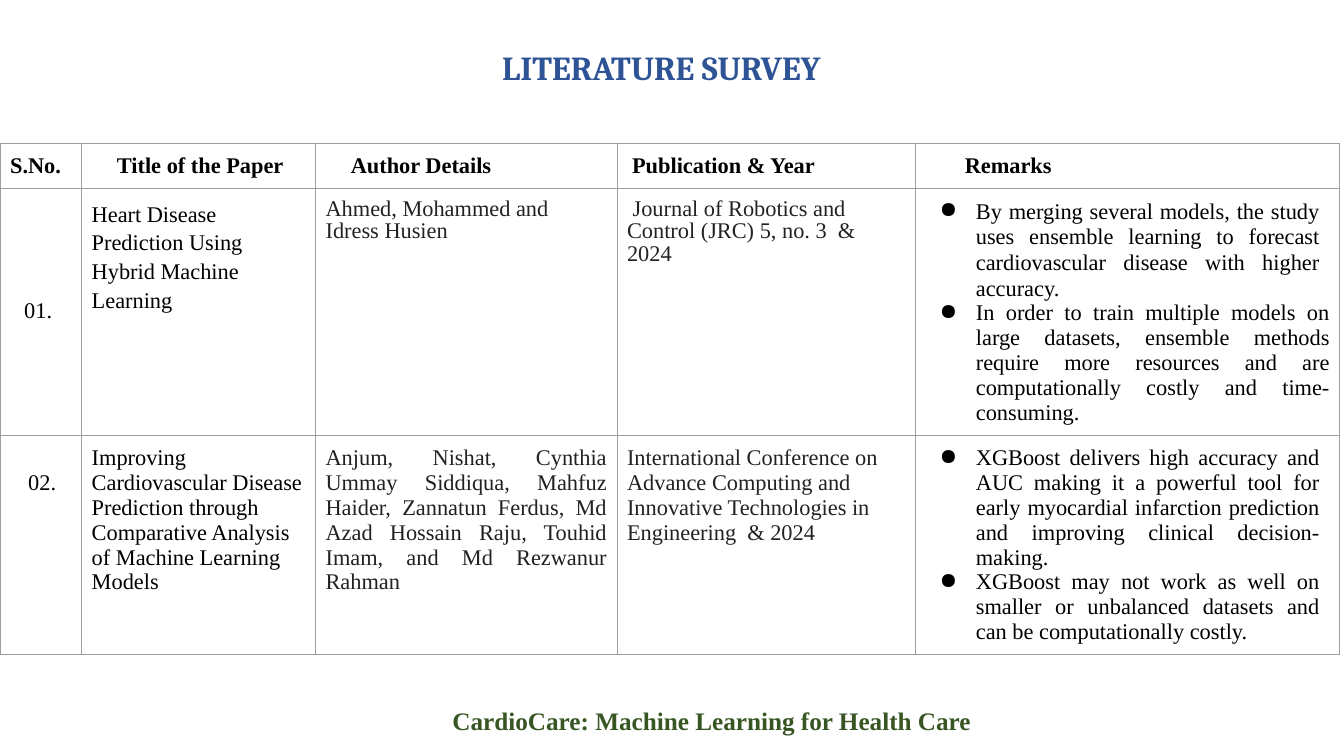
from dataclasses import dataclass

from lxml.etree import SubElement
from pptx import Presentation
from pptx.dml.color import RGBColor
from pptx.enum.text import MSO_ANCHOR, MSO_AUTO_SIZE, PP_ALIGN
from pptx.oxml.ns import qn
from pptx.util import Inches, Pt

BLUE = RGBColor(0x2F, 0x54, 0x96)
GREEN = RGBColor(0x38, 0x56, 0x23)
BLACK = RGBColor(0, 0, 0)
INK = RGBColor(0x22, 0x22, 0x22)
SOFT_INK = RGBColor(0x21, 0x21, 0x21)
GRID = RGBColor(0x9E, 0x9E, 0x9E)
SERIF = "Times New Roman"

COLUMN_WIDTHS = (0.81, 2.32, 2.99, 2.96, 4.21)
ROW_HEIGHTS = (0.45, 2.45, 2.17)


@dataclass
class Entry:
    """Text of one table cell and the way it is set."""

    paragraphs: tuple
    left: float = 0.1
    top: float = 0.1
    color: RGBColor = BLACK
    bold: bool = False
    align: PP_ALIGN = PP_ALIGN.LEFT
    spacing: tuple = (1.0, 1.0)
    bullet_insets: tuple = ()


def heading(text, left):
    """Return a bold header entry."""
    return Entry((text,), left, bold=True)


def remarks(paragraphs, spacing, bullet_insets):
    """Return a justified, bulleted entry."""
    return Entry(paragraphs, align=PP_ALIGN.JUSTIFY, spacing=spacing,
                 bullet_insets=bullet_insets)


ROWS = (
    (
        heading("S.No.", 0.1),
        heading("Title of the Paper", 0.35),
        heading("Author Details", 0.35),
        heading("Publication & Year", 0.15),
        heading("Remarks", 0.49),
    ),
    (
        Entry(("01.",), left=0.24, top=1.09),
        Entry(("Heart Disease Prediction Using Hybrid Machine Learning",),
              spacing=(1.15,)),
        Entry(("Ahmed, Mohammed and Idress Husien",), color=INK, spacing=(0.9,)),
        Entry((" Journal of Robotics and Control (JRC) 5, no. 3  & 2024",),
              color=INK, spacing=(0.9,)),
        remarks((
            "By merging several models, the study uses ensemble learning to "
            "forecast cardiovascular disease with higher accuracy.",
            "In order to train multiple models on large datasets, ensemble "
            "methods require more resources and are computationally costly "
            "and time-consuming.",
        ), (1.03, 1.0), (0.1, 0)),
    ),
    (
        Entry(("02.",), left=0.28, top=0.35),
        Entry(("Improving Cardiovascular Disease Prediction through "
               "Comparative Analysis of Machine Learning Models",)),
        Entry(("Anjum, Nishat, Cynthia Ummay Siddiqua, Mahfuz Haider, "
               "Zannatun Ferdus, Md Azad Hossain Raju, Touhid Imam, and "
               "Md Rezwanur Rahman",), color=SOFT_INK, align=PP_ALIGN.JUSTIFY),
        Entry(("International Conference on Advance Computing and Innovative "
               "Technologies in Engineering  & 2024",), color=INK),
        remarks((
            "XGBoost delivers high accuracy and AUC making it a powerful tool "
            "for early myocardial infarction prediction and improving "
            "clinical decision-making.",
            "XGBoost may not work as well on smaller or unbalanced datasets "
            "and can be computationally costly.",
        ), (1.0, 1.0), (0.1, 0.1)),
    ),
)


def format_runs(para, size, color, bold, font=SERIF):
    """Set the font of every run in a paragraph."""
    for span in para.runs:
        span.font.name = font
        span.font.size = Pt(size)
        span.font.bold = bold
        span.font.color.rgb = color


def place(shape, box):
    """Move a shape into a box given in inches."""
    shape.left, shape.top, shape.width, shape.height = map(Inches, box)


def set_line(shape, text, size, color, font):
    """Write one bold centred line in a shape and return its paragraph."""
    frame = shape.text_frame
    frame.text = text
    frame.word_wrap = True
    frame.auto_size = MSO_AUTO_SIZE.NONE
    frame.vertical_anchor = MSO_ANCHOR.MIDDLE
    para = frame.paragraphs[0]
    para.alignment = PP_ALIGN.CENTER
    format_runs(para, size, color, True, font)
    return para


def set_bullet(para, right_inset):
    """Give a paragraph a round bullet with a hanging indent."""
    properties = para._p.get_or_add_pPr()
    properties.set("marL", str(Inches(0.5)))
    properties.set("marR", str(Inches(right_inset)))
    properties.set("indent", str(Inches(-0.36)))
    color = SubElement(properties, qn("a:buClr"))
    SubElement(color, qn("a:srgbClr"), val=str(BLACK))
    SubElement(properties, qn("a:buChar"), char="●")


def set_borders(cell):
    """Draw a thin grey line on each side of a cell."""
    properties = cell._tc.get_or_add_tcPr()
    for index, side in enumerate(("lnL", "lnR", "lnT", "lnB")):
        line = SubElement(properties, qn(f"a:{side}"), w=str(Pt(0.75)))
        fill = SubElement(line, qn("a:solidFill"))
        SubElement(fill, qn("a:srgbClr"), val=str(GRID))
        properties.insert(index, line)


def fill_cell(cell, entry):
    """Write an entry into a table cell."""
    cell.margin_left, cell.margin_top = Inches(entry.left), Inches(entry.top)
    cell.margin_right = cell.margin_bottom = Inches(0.1)
    cell.fill.background()
    set_borders(cell)
    cell.text_frame.text = "\n".join(entry.paragraphs)
    for index, para in enumerate(cell.text_frame.paragraphs):
        para.alignment = entry.align
        para.line_spacing = entry.spacing[index]
        format_runs(para, 16, entry.color, entry.bold)
        if entry.bullet_insets:
            set_bullet(para, entry.bullet_insets[index])


def add_title(page, box):
    """Place the slide title."""
    place(page.shapes.title, box)
    para = set_line(page.shapes.title, "LITERATURE SURVEY", 24, BLUE, "Cambria")
    para.line_spacing = 1.5


def add_survey(page, box):
    """Place the table of surveyed papers."""
    table = page.shapes.add_table(
        len(ROWS), len(COLUMN_WIDTHS), *map(Inches, box)).table
    table.first_row = table.horz_banding = False
    for column, width in zip(table.columns, COLUMN_WIDTHS):
        column.width = Inches(width)
    for row, height, entries in zip(table.rows, ROW_HEIGHTS, ROWS):
        row.height = Inches(height)
        for cell, entry in zip(row.cells, entries):
            fill_cell(cell, entry)


def add_project_name(page, box):
    """Place the project name below the table."""
    shape = page.shapes.add_textbox(*map(Inches, box))
    set_line(shape, "CardioCare: Machine Learning for Health Care",
             18, GREEN, SERIF)


def main():
    """Build and save the slide."""
    deck = Presentation()
    deck.slide_width, deck.slide_height = Inches(13.33), Inches(7.5)
    page = deck.slides.add_slide(deck.slide_layouts[5])
    add_title(page, (4.27, 0.23, 4.58, 0.67))
    add_survey(page, (0, 1.42, sum(COLUMN_WIDTHS), sum(ROW_HEIGHTS)))
    add_project_name(page, (4.33, 6.95, 5.46, 0.4))
    deck.save("out.pptx")


if __name__ == "__main__":
    main()
